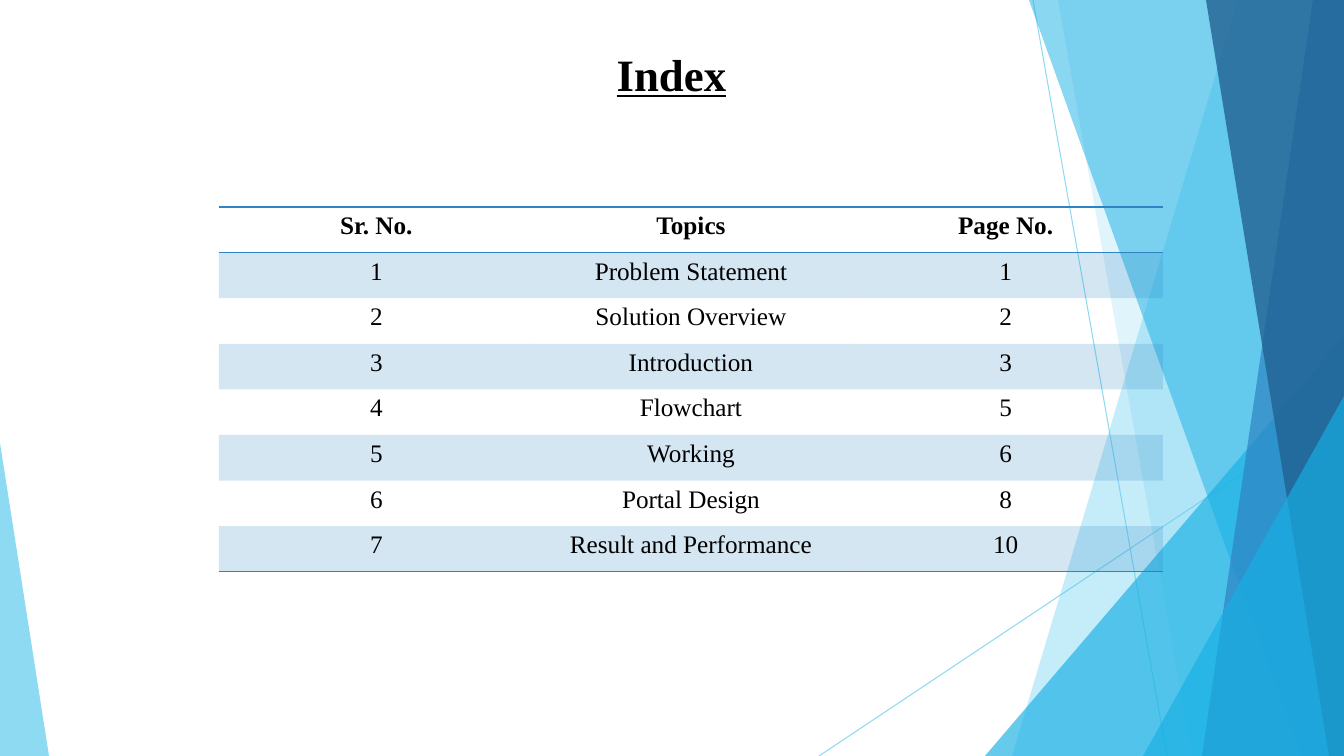
from pptx import Presentation
from pptx.dml.color import RGBColor
from pptx.enum.shapes import MSO_CONNECTOR as Connector, MSO_SHAPE as Shape
from pptx.enum.text import MSO_ANCHOR as Anchor, PP_ALIGN as Align
from pptx.oxml import parse_xml
from pptx.oxml.ns import nsdecls, qn
from pptx.util import Emu, Pt

WIDTH, HEIGHT = 1344, 756
SCALE = 12192000 / WIDTH
NO_STYLE = "{2D5ABB26-0587-4C30-8999-92F81FD0307C}"
SKY, CYAN, BLUE, NAVY = "5FCBEF", "17B0E4", "2E83C3", "226292"

TOPICS = [
    ("Sr. No.", "Topics", "Page No."),
    ("1", "Problem Statement", "1"),
    ("2", "Solution Overview", "2"),
    ("3", "Introduction", "3"),
    ("4", "Flowchart", "5"),
    ("5", "Working", "6"),
    ("6", "Portal Design", "8"),
    ("7", "Result and Performance", "10"),
]


def px(n):
    return Emu(round(n * SCALE))


def color(hex_code):
    return RGBColor.from_string(hex_code)


def set_opacity(props, percent):
    """Make the first colour found in a properties element translucent."""
    clr = props.find(".//" + qn("a:srgbClr"))
    clr.append(parse_xml(f'<a:alpha {nsdecls("a")} val="{percent * 1000}"/>'))


class Deck:
    font = "Times New Roman"
    ink = "000000"

    def __init__(self):
        self.prs = Presentation()
        self.prs.slide_width, self.prs.slide_height = px(WIDTH), px(HEIGHT)
        self.slide = self.prs.slides.add_slide(self.prs.slide_layouts[5])
        self.shapes = self.slide.shapes

    def set_text(self, tf, text, size, bold=False, underline=False):
        tf.text = text
        p = tf.paragraphs[0]
        p.alignment = Align.CENTER
        font = p.runs[0].font
        font.name, font.size = self.font, Pt(size)
        font.bold, font.underline = bold, underline
        font.color.rgb = color(self.ink)

    def title(self, text, x, y, w, h):
        s = self.shapes.title
        s.left, s.top, s.width, s.height = map(px, (x, y, w, h))
        s.text_frame.vertical_anchor = Anchor.MIDDLE
        self.set_text(s.text_frame, text, 32, bold=True, underline=True)

    def line(self, x1, y1, x2, y2):
        c = self.shapes.add_connector(
            Connector.STRAIGHT, px(x1), px(y1), px(x2), px(y2))
        c.line.width = Pt(0.75)
        c.line.color.rgb = color(SKY)
        props = c._element.spPr
        set_opacity(props, 70)
        props.append(parse_xml(f'<a:effectLst {nsdecls("a")}/>'))

    def paint(self, s, fill, opacity):
        s.shadow.inherit = False
        s.fill.solid()
        s.fill.fore_color.rgb = color(fill)
        s.line.fill.background()
        set_opacity(s._element.spPr, opacity)

    def band(self, top_x, bottom_x, fill, opacity):
        """Fill from a slanted left edge to the right side of the slide."""
        builder = self.shapes.build_freeform(top_x, 0, scale=SCALE)
        builder.add_line_segments(
            [(WIDTH, 0), (WIDTH, HEIGHT), (bottom_x, HEIGHT)])
        self.paint(builder.convert_to_shape(), fill, opacity)

    def corner(self, x, y, w, apex, fill, opacity):
        """Triangle standing on the bottom edge, apex 0 (left) to 1 (right)."""
        s = self.shapes.add_shape(
            Shape.ISOSCELES_TRIANGLE, px(x), px(y), px(w), px(HEIGHT - y))
        s.adjustments[0] = apex
        self.paint(s, fill, opacity)

    def rule(self, cell, *sides):
        props = cell._tc.get_or_add_tcPr()
        for i, side in enumerate(sides):
            props.insert(i, parse_xml(
                f'<a:ln{side} {nsdecls("a")} w="12700"><a:solidFill>'
                f'<a:srgbClr val="{BLUE}"/></a:solidFill></a:ln{side}>'))

    def table(self, rows, x, y, w, h):
        frame = self.shapes.add_table(
            len(rows), len(rows[0]), px(x), px(y), px(w), px(h))
        table = frame.table
        table.horz_banding = False
        frame._element.find(".//" + qn("a:tableStyleId")).text = NO_STYLE
        for r, row in enumerate(rows):
            for c, text in enumerate(row):
                cell = table.cell(r, c)
                self.set_text(cell.text_frame, text, 18, bold=r == 0)
                if r % 2:
                    cell.fill.solid()
                    cell.fill.fore_color.rgb = color(BLUE)
                    set_opacity(cell._tc.tcPr, 20)
                else:
                    cell.fill.background()
                if r == 0:
                    self.rule(cell, "T", "B")
                elif r == len(rows) - 1:
                    self.rule(cell, "B")


def main():
    deck = Deck()
    deck.line(1033, 0, 1167, HEIGHT)
    deck.line(WIDTH, 406, 819, HEIGHT)
    deck.band(1238, 1012, SKY, 36)
    deck.band(1058, 1192, SKY, 20)
    deck.corner(985, 336, 359, 1, CYAN, 66)
    deck.band(1029, 1301, CYAN, 50)
    deck.band(1313, 1202, BLUE, 70)
    deck.band(1206, 1329, NAVY, 80)
    deck.corner(1143, 396, 201, 1, CYAN, 66)
    deck.corner(0, 443, 49, 0, SKY, 70)
    deck.title("Index", 393, 41, 557, 65)
    deck.table(TOPICS, 219, 207, 944, 365)
    deck.prs.save("out.pptx")


if __name__ == "__main__":
    main()
